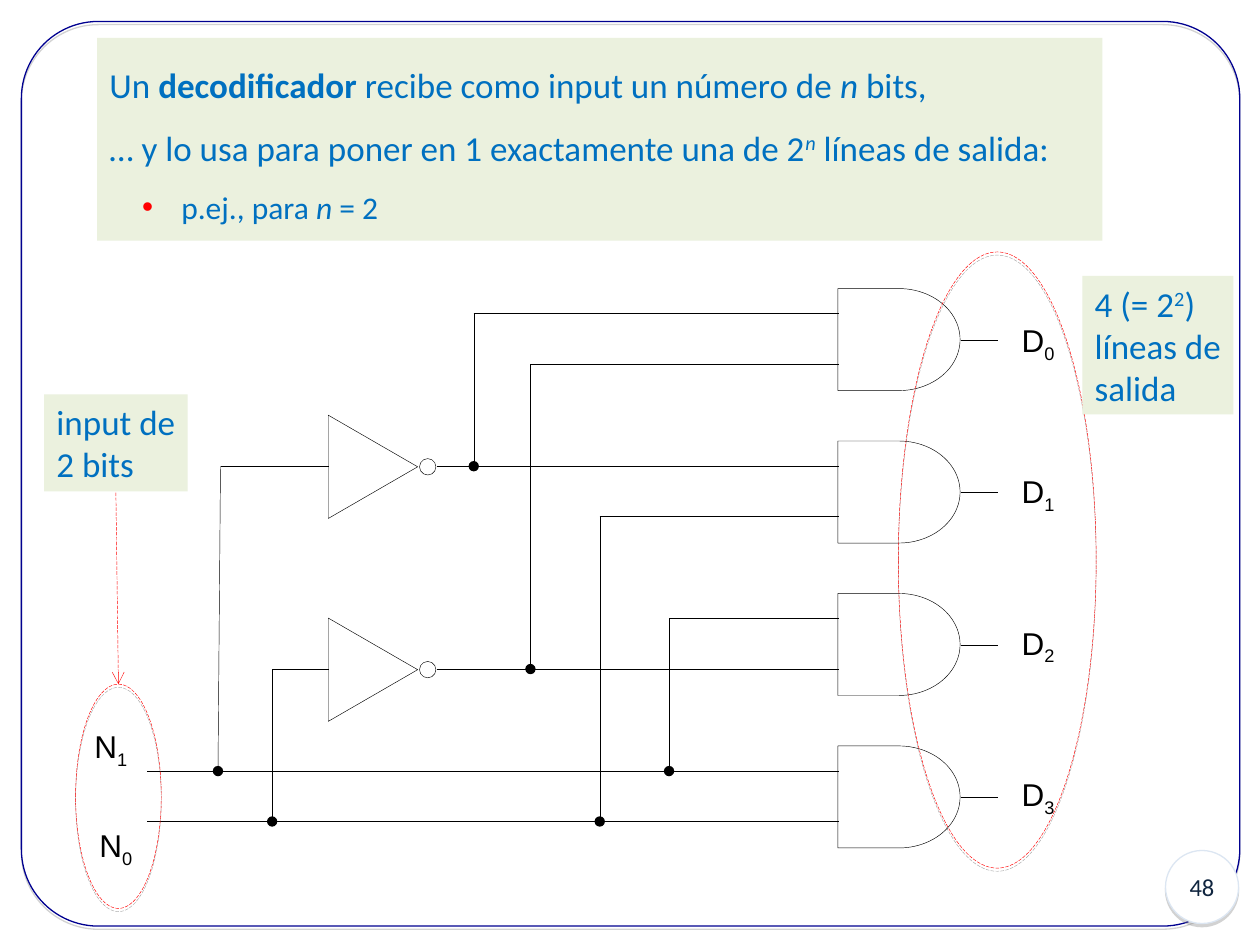
from dataclasses import dataclass

from lxml import etree
from pptx import Presentation
from pptx.dml.color import RGBColor
from pptx.enum.dml import MSO_LINE
from pptx.enum.shapes import MSO_CONNECTOR, MSO_SHAPE as SHAPE
from pptx.enum.text import MSO_ANCHOR as ANCHOR, MSO_AUTO_SIZE as AUTO_SIZE, PP_ALIGN as ALIGN
from pptx.oxml.ns import qn
from pptx.slide import Slide
from pptx.util import Inches, Pt

BOLD = {"bold": True}
ITALIC = {"italic": True}


def color(value):
    return RGBColor.from_string(value)


def add_xml(parent, tag, **attributes):
    return etree.SubElement(parent, qn(tag), attributes)


@dataclass
class DecoderSlide:
    """Draws the decoder slide with one shared style."""

    slide: Slide
    black: str = "000000"
    red: str = "FF0000"
    blue: str = "0070C0"
    panel: str = "EBF1DE"

    def set_line(self, line, value, width=0.25, dashed=False):
        line.color.rgb = color(value)
        line.width = Pt(width)
        if dashed:
            line.dash_style = MSO_LINE.LONG_DASH

    def shape(self, kind, left, top, width, height, line=None, fill=None,
              weight=0.25, dashed=False, shadow=None):
        shape = self.slide.shapes.add_shape(
            kind, Inches(left), Inches(top), Inches(width), Inches(height))
        shape.shadow.inherit = False
        if fill:
            shape.fill.solid()
            shape.fill.fore_color.rgb = color(fill)
        else:
            shape.fill.background()
        if line:
            self.set_line(shape.line, line, weight, dashed)
        else:
            shape.line.fill.background()
        if shadow:
            effects = shape._element.spPr.find(qn("a:effectLst"))
            outer = add_xml(effects, "a:outerShdw", blurRad="0", dist=str(Pt(1.8)),
                            dir="5400000", algn="ctr", rotWithShape="0")
            tint = add_xml(outer, "a:srgbClr", val=shadow)
            add_xml(tint, "a:alpha", val="35000")
        return shape

    def wire(self, x1, y1, x2, y2, value=None, dashed=False, head=None, tail=None):
        wire = self.slide.shapes.add_connector(
            MSO_CONNECTOR.STRAIGHT, Inches(x1), Inches(y1), Inches(x2), Inches(y2))
        self.set_line(wire.line, value or self.black, dashed=dashed)
        outline = wire._element.spPr.find(qn("a:ln"))
        for tag, end in (("a:headEnd", head), ("a:tailEnd", tail)):
            if end:
                add_xml(outline, tag, type=end)
        add_xml(wire._element.spPr, "a:effectLst")

    def fill_text(self, shape, lines, size, font="Calibri", value=None,
                  align=ALIGN.LEFT, anchor=ANCHOR.TOP, wrap=False):
        frame = shape.text_frame
        frame.word_wrap = wrap
        frame.auto_size = AUTO_SIZE.NONE if wrap else AUTO_SIZE.SHAPE_TO_FIT_TEXT
        frame.vertical_anchor = anchor
        for index, runs in enumerate(lines):
            paragraph = frame.add_paragraph() if index else frame.paragraphs[0]
            paragraph.alignment = align
            for text, formats in runs:
                run = paragraph.add_run()
                run.text = text
                style = {"size": Pt(size), "name": font, **formats}
                baseline = style.pop("baseline", None)
                for name, setting in style.items():
                    setattr(run.font, name, setting)
                run.font.color.rgb = color(value or self.blue)
                if baseline:
                    run._r.get_or_add_rPr().set("baseline", str(baseline * 1000))
        return frame.paragraphs

    def bullet(self, paragraph, indent, hanging):
        properties = paragraph._p.get_or_add_pPr()
        properties.set("marL", str(Inches(indent)))
        properties.set("indent", str(-Inches(hanging)))
        add_xml(add_xml(properties, "a:buClr"), "a:srgbClr", val=self.red)
        add_xml(properties, "a:buFont", typeface="Arial")
        add_xml(properties, "a:buChar", char="•")

    def label(self, letter, digit, left, top):
        box = self.slide.shapes.add_textbox(
            Inches(left), Inches(top), Inches(0.46), Inches(0.44))
        self.fill_text(box, [[(letter, {}), (digit, {"baseline": -25})]], 18, "Arial", self.black)

    def note(self, lines, left, top, width, height):
        box = self.shape(SHAPE.RECTANGLE, left, top, width, height, fill=self.panel)
        self.fill_text(box, lines, 20)

    def highlight(self, left, top, width, height):
        self.shape(SHAPE.OVAL, left, top, width, height, self.red,
                   dashed=True, shadow=self.black)

    def and_gate(self, row, upper_start, lower_start):
        top = 2.29 + 1.21 * row
        self.wire(lower_start, top + 0.6, 6.66, top + 0.6)
        self.wire(upper_start, top + 0.2, 6.66, top + 0.2)
        self.wire(7.63, top + 0.41, 7.92, top + 0.41)
        self.shape(SHAPE.FLOWCHART_DELAY, 6.65, top, 0.97, 0.81, self.black)
        self.label("D", str(row), 8.01, 2.5 + 1.2 * row)

    def inverter(self, middle, input_start):
        self.wire(input_start, middle, 2.61, middle)
        self.shape(SHAPE.OVAL, 3.33, middle - 0.06, 0.13, 0.13, self.black)
        body = self.shape(SHAPE.ISOSCELES_TRIANGLE, 2.55, middle - 0.35, 0.82, 0.71, self.black)
        body.rotation = 90

    def frame(self, number):
        border = self.shape(SHAPE.ROUNDED_RECTANGLE, 0.17, 0.17, 9.67, 7.18,
                            "000090", weight=0.75, shadow="808080")
        border.adjustments[0] = 0.085
        badge = self.shape(SHAPE.OVAL, 9.25, 6.75, 0.58, 0.58, "DCE6F2", "FFFFFF",
                           weight=0.75, shadow="808080")
        self.fill_text(badge, [[(number, {})]], 14, value="10253F", align=ALIGN.CENTER,
                       anchor=ANCHOR.MIDDLE, wrap=True)

    def heading(self):
        box = self.shape(SHAPE.RECTANGLE, 0.77, 0.3, 7.98, 1.61, fill=self.panel)
        paragraphs = self.fill_text(box, [
            [("Un ", {}), ("decodificador", BOLD), (" recibe como input un número de ", {}),
             ("n", ITALIC), (" bits,", {})],
            [("… y lo usa para poner en 1 exactamente una de 2", {}),
             ("n", {**ITALIC, "baseline": 30}), (" líneas de salida:", {})],
            [("p.ej., para ", {}), ("n", ITALIC), (" = 2", {})],
        ], 20, anchor=ANCHOR.MIDDLE, wrap=True)
        for index, paragraph in enumerate(paragraphs):
            paragraph.line_spacing = 1.25
            paragraph.space_before = Pt(6 if index else 0)
        example = paragraphs[-1]
        example.level = 1
        self.bullet(example, 0.57, 0.31)
        for run in example.runs:
            run.font.size = Pt(18)


def main():
    presentation = Presentation()
    presentation.slide_width, presentation.slide_height = Inches(10), Inches(7.5)
    decoder = DecoderSlide(presentation.slides.add_slide(presentation.slide_layouts[6]))
    decoder.frame("48")
    for row, starts in enumerate([(3.76, 4.21), (3.47, 4.76), (5.31, 3.47), (1.17, 1.17)]):
        decoder.and_gate(row, *starts)
    for middle, input_start in ((3.7, 1.75), (5.31, 2.16)):
        decoder.inverter(middle, input_start)
    for x1, y1, x2, y2 in ((3.76, 3.7, 3.76, 2.49), (4.21, 5.31, 4.21, 2.89),
                           (4.76, 6.52, 4.76, 4.1), (5.31, 6.12, 5.31, 4.91),
                           (2.16, 6.52, 2.16, 5.31), (1.73, 6.12, 1.75, 3.7)):
        decoder.wire(x1, y1, x2, y2, head="oval")
    decoder.label("N", "1", 0.65, 5.72)
    decoder.label("N", "0", 0.69, 6.51)
    decoder.heading()
    decoder.note([[("input de", {})], [("2 bits", {})]], 0.35, 3.13, 1.14, 0.77)
    decoder.highlight(0.6, 5.43, 0.68, 1.78)
    decoder.wire(0.92, 3.91, 0.94, 5.43, decoder.red, dashed=True, tail="arrow")
    decoder.highlight(7.13, 2, 1.57, 4.89)
    decoder.note([[("4 (= 2", {}), ("2", {"baseline": 30}), (")", {})],
                  [("líneas de", {})], [("salida", {})]], 8.59, 2.19, 1.2, 1.1)
    presentation.save("out.pptx")


if __name__ == "__main__":
    main()
